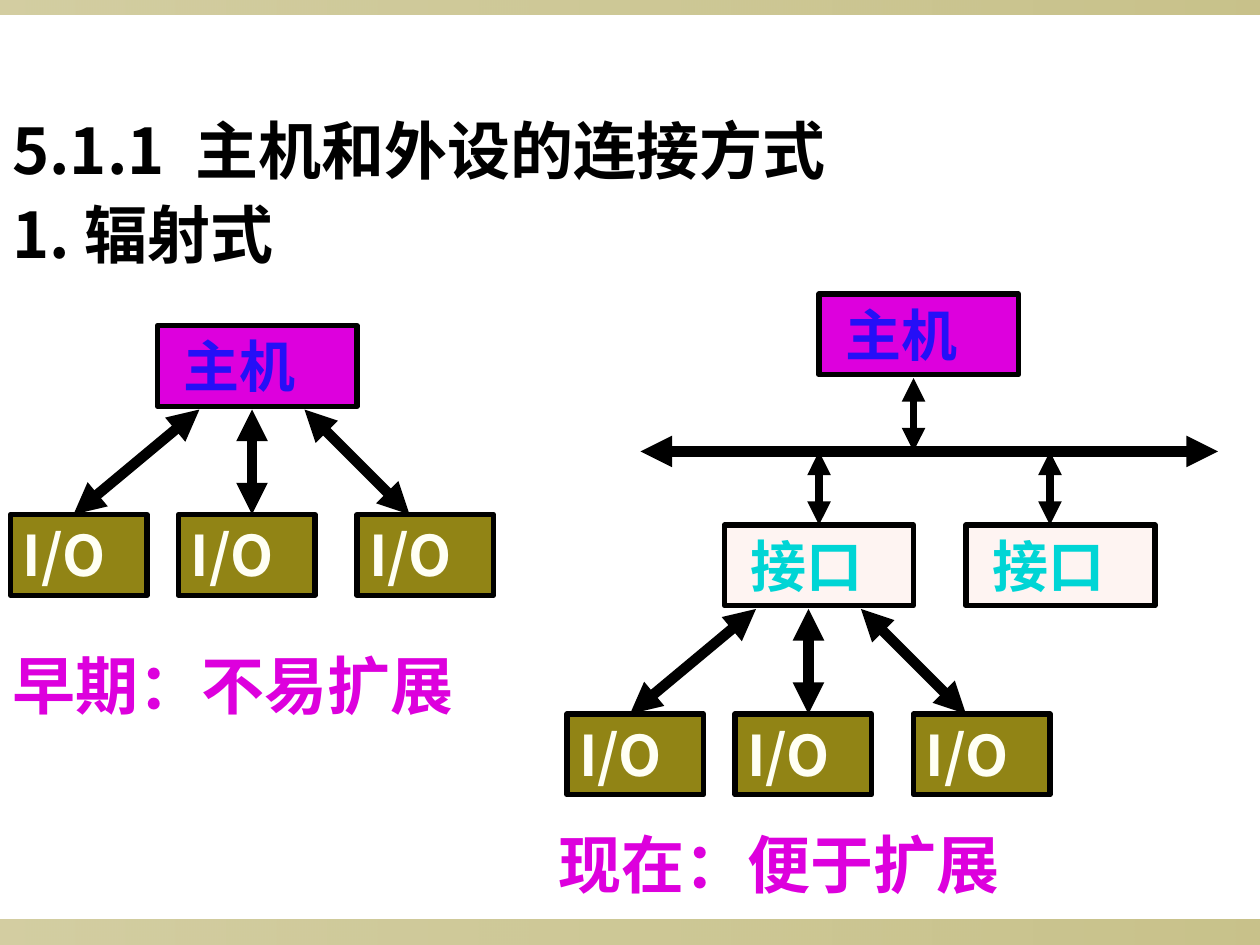
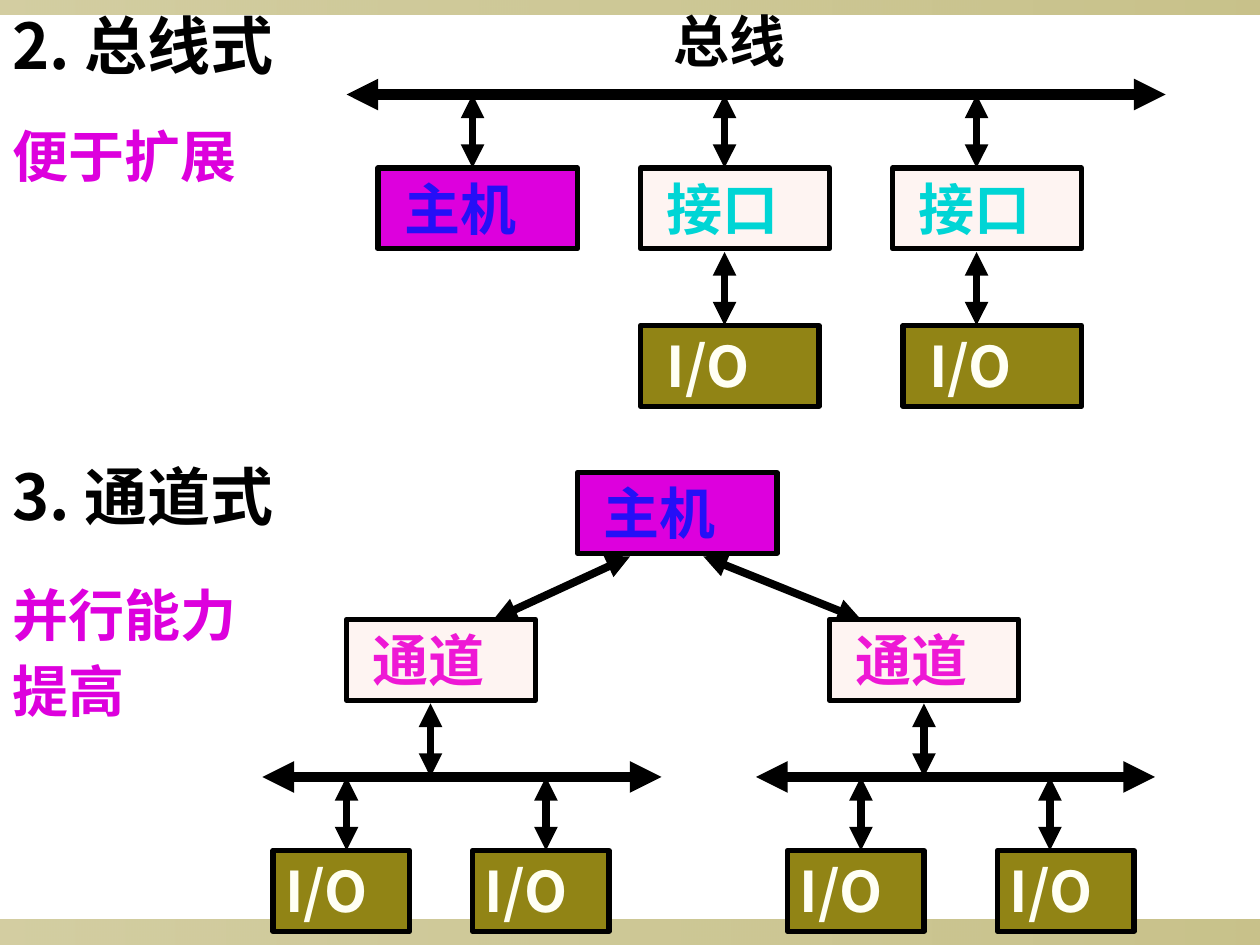
from lxml.etree import SubElement
from pptx import Presentation
from pptx.dml.color import RGBColor
from pptx.enum.shapes import MSO_CONNECTOR as CONNECTOR, MSO_SHAPE as SHAPE
from pptx.enum.text import MSO_ANCHOR as ANCHOR, MSO_AUTO_SIZE as AUTO, PP_ALIGN as ALIGN
from pptx.oxml.ns import qn
from pptx.util import Pt

PX = 7620
WIDTH, HEIGHT = 1200, 900
SANS, SERIF = "Noto Sans CJK SC", "Times New Roman"

BLACK = RGBColor(0x00, 0x00, 0x00)
OLIVE = RGBColor(0x91, 0x84, 0x15)
MAGENTA = RGBColor(0xDD, 0x00, 0xDD)
BLUE = RGBColor(0x25, 0x0F, 0xF7)
CREAM = RGBColor(0xFF, 0xFF, 0xF4)
BLUSH = RGBColor(0xFE, 0xF4, 0xF2)
CYAN = RGBColor(0x00, 0xD5, 0xD5)
PINK = RGBColor(0xEE, 0x18, 0xD5)

BOX_H, HEADING_H = 77, 84
INSET, INDENTED = 12, 25
STUB = 70
THIN, THICK = 4.5, 6


def px(*lengths):
    return [n * PX for n in lengths]


def write(sp, text, size, font, color, inset=INSET, spacing=None, tab=None):
    tf = sp.text_frame
    tf.word_wrap = True
    tf.auto_size = AUTO.SHAPE_TO_FIT_TEXT
    tf.vertical_anchor = ANCHOR.TOP
    tf.margin_left, tf.margin_right, tf.margin_top, tf.margin_bottom = px(inset, INSET, 6, 6)
    tf.text = text
    for i, p in enumerate(tf.paragraphs):
        p.alignment = ALIGN.LEFT
        if spacing:
            p.line_spacing = spacing
        if i:
            p.space_before = Pt(20)
        if tab:
            tabs = SubElement(p._p.get_or_add_pPr(), qn("a:tabLst"))
            SubElement(tabs, qn("a:tab"), pos=str(tab * PX), algn="l")
        p.font.size = Pt(size)
        p.font.bold = True
        p.font.name = font
        p.font.color.rgb = color
        SubElement(p._p.pPr.find(qn("a:defRPr")), qn("a:ea"), typeface=SANS)


def add_text(s, text, x, y, w, h, size, font, color, **layout):
    sp = s.shapes.add_textbox(*px(x, y, w, h))
    write(sp, text, size, font, color, **layout)


def add_heading(s, text, y, w, **layout):
    add_text(s, text, 0, y, w, HEADING_H, 36, SANS, BLACK, **layout)


def add_verdict(s, text, x, y):
    add_text(s, text, x, y, 500, HEADING_H, 36, SERIF, MAGENTA)


def add_box(s, text, x, y, w, fill, color, font=SERIF, inset=INDENTED):
    sp = s.shapes.add_shape(SHAPE.RECTANGLE, *px(x, y, w, BOX_H))
    sp.shadow.inherit = False
    sp.fill.solid()
    sp.fill.fore_color.rgb = fill
    sp.line.color.rgb = BLACK
    sp.line.width = Pt(3)
    write(sp, text, 32, font, color, inset)


def add_host(s, x, y):
    add_box(s, "主机", x, y, 190, MAGENTA, BLUE)


def add_interface(s, x, y):
    add_box(s, "接口", x, y, 180, BLUSH, CYAN)


def add_channel(s, x, y):
    add_box(s, "通道", x, y, 180, BLUSH, PINK)


def add_io(s, x, y, w=130, inset=INSET):
    add_box(s, "I/O", x, y, w, OLIVE, CREAM, SANS, inset)


def add_arrow(s, x1, y1, x2, y2, weight):
    line = s.shapes.add_connector(CONNECTOR.STRAIGHT, *px(x1, y1, x2, y2))
    line.line.color.rgb = BLACK
    line.line.width = Pt(weight)
    ln = line.line._get_or_add_ln()
    for end in ("a:headEnd", "a:tailEnd"):
        SubElement(ln, qn(end), type="triangle")
    SubElement(line._element.spPr, qn("a:effectLst"))


def add_bus(s, x1, x2, y):
    add_arrow(s, x1, y, x2, y, THICK)


def add_stub(s, x, y):
    add_arrow(s, x, y, x, y + STUB, THIN)


def add_io_fan(s, x, y):
    for top, bottom in ((180, 60), (230, 230), (280, 380)):
        add_arrow(s, x + top, y, x + bottom, y + 100, THICK)
    for left in (0, 160, 330):
        add_io(s, x + left, y + 100)


def add_band(s, y, h):
    sp = s.shapes.add_shape(SHAPE.RECTANGLE, *px(0, y, WIDTH, h))
    sp.shadow.inherit = False
    sp.line.fill.background()
    sp.fill.gradient()
    sp.fill.gradient_angle = 0
    for stop, alpha in zip(sp.fill.gradient_stops, (40000, 50000)):
        stop.color.rgb = OLIVE
        SubElement(stop._gs.find(qn("a:srgbClr")), qn("a:alpha"), val=str(alpha))


def new_slide(prs):
    s = prs.slides.add_slide(prs.slide_layouts[6])
    add_band(s, 876, 24)
    add_band(s, 0, 14)
    return s


def add_radial_slide(prs):
    s = new_slide(prs)
    add_heading(s, "5.1.1\t主机和外设的连接方式", 100, 900, tab=174)
    add_heading(s, "1. 辐射式", 180, 900)

    add_host(s, 150, 310)
    add_io_fan(s, 10, 390)
    add_verdict(s, "早期：不易扩展", 0, 610)

    add_host(s, 780, 280)
    for x in (690, 920):
        add_interface(s, x, 500)
    add_bus(s, 610, 1160, 430)
    for x, y in ((870, 360), (780, 430), (1000, 430)):
        add_stub(s, x, y)
    add_io_fan(s, 540, 580)
    add_verdict(s, "现在：便于扩展", 520, 780)


def add_bus_and_channel_slide(prs):
    s = new_slide(prs)
    add_heading(s, "2. 总线式", 0, 520)
    add_text(s, "便于扩展", 0, 110, 290, BOX_H, 32, SERIF, MAGENTA)
    add_text(s, "总线", 630, 0, 220, BOX_H, 32, SERIF, BLACK)
    add_host(s, 360, 160)
    for x in (610, 850):
        add_interface(s, x, 160)
    add_bus(s, 330, 1110, 90)
    for x in (450, 690, 930):
        add_stub(s, x, 90)
    for x in (610, 860):
        add_io(s, x, 310, 170, INDENTED)
    for x in (690, 930):
        add_stub(s, x, 240)

    add_heading(s, "3. 通道式", 430, 520)
    add_text(s, "并行能力\n提高", 0, 570, 320, 122, 32, SERIF, MAGENTA, spacing=0.6)
    add_host(s, 550, 450)
    for top, bottom in ((600, 470), (670, 820)):
        add_arrow(s, top, 530, bottom, 590, THIN)
    branches = (
        (330, 410, 250, (330, 520), (260, 450)),
        (790, 880, 720, (820, 1000), (750, 950)),
    )
    for channel, link, bus, stubs, devices in branches:
        add_channel(s, channel, 590)
        add_bus(s, bus, bus + 380, 740)
        for x in devices:
            add_io(s, x, 810)
        add_stub(s, link, 670)
        for x in stubs:
            add_stub(s, x, 740)


def main():
    prs = Presentation()
    prs.slide_width, prs.slide_height = px(WIDTH, HEIGHT)
    add_radial_slide(prs)
    add_bus_and_channel_slide(prs)
    prs.save("out.pptx")


if __name__ == "__main__":
    main()
